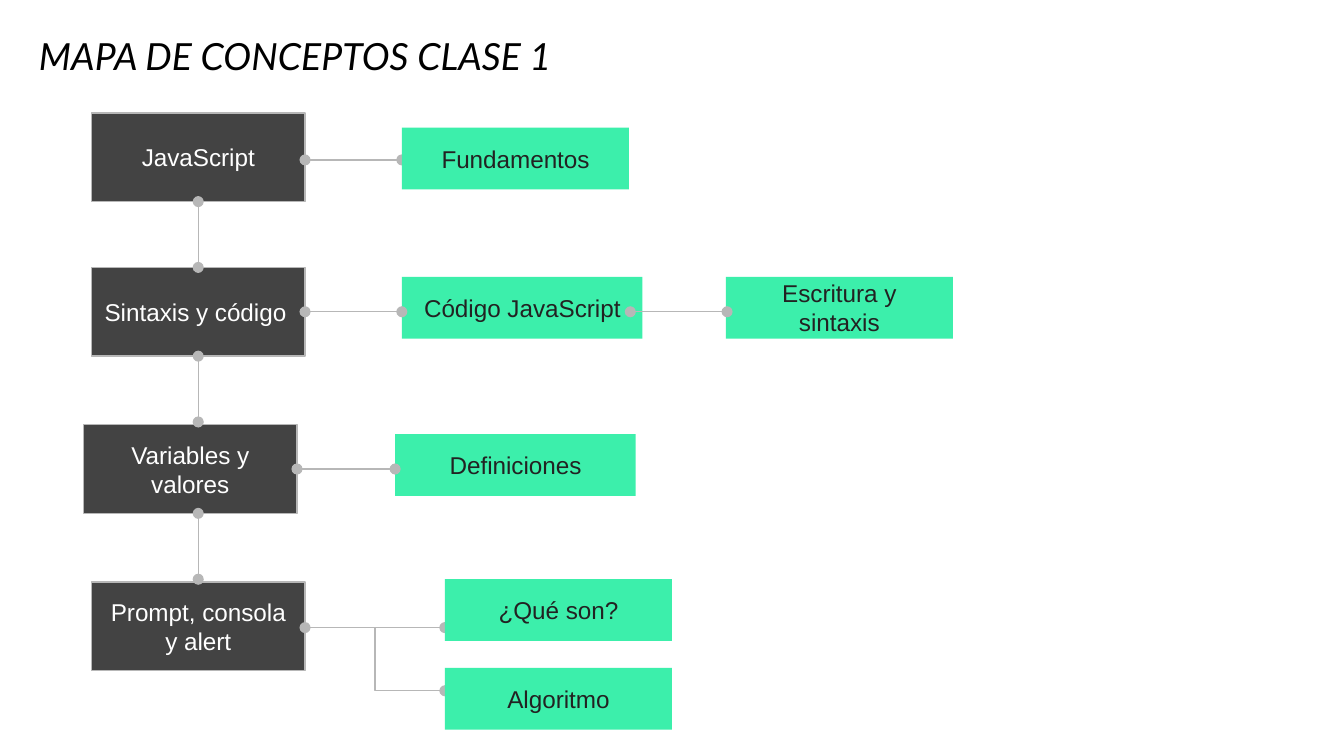
from dataclasses import dataclass

from lxml.etree import SubElement
from pptx import Presentation
from pptx.dml.color import RGBColor
from pptx.enum.shapes import MSO_CONNECTOR as LINK, MSO_SHAPE as SHAPE
from pptx.enum.text import MSO_ANCHOR as ANCHOR, MSO_AUTO_SIZE as FIT, PP_ALIGN as ALIGN
from pptx.oxml.ns import qn
from pptx.util import Inches, Pt

TOPIC_LEFT, TOPIC_WIDTH = 0.68, 1.59


@dataclass(frozen=True)
class Theme:
    """Colours, fonts and type sizes of the concept map."""
    topic_fill: str = "434343"
    topic_text: str = "FFFFFF"
    concept_fill: str = "3CEFAB"
    concept_text: str = "222222"
    link: str = "B7B7B7"
    title: str = "000000"
    title_font: str = "Lato"
    body_font: str = "Arial"
    title_size: float = 20
    body_size: float = 13
    link_width: float = 0.75


def write(frame, text, *, font, size, color, align=ALIGN.CENTER,
          anchor=ANCHOR.MIDDLE, italic=False):
    """Put formatted text in a text frame with even margins."""
    frame.word_wrap = True
    frame.auto_size = FIT.NONE
    frame.vertical_anchor = anchor
    frame.margin_left = frame.margin_right = Inches(0.1)
    frame.margin_top = frame.margin_bottom = Inches(0.1)
    paragraph = frame.paragraphs[0]
    paragraph.alignment = align
    run = paragraph.add_run()
    run.text = text
    run.font.name = font
    run.font.size = Pt(size)
    run.font.italic = italic
    run.font.color.rgb = RGBColor.from_string(color)


class ConceptMap:
    """Draws the parts of a concept map on one slide."""

    def __init__(self, slide, theme):
        """Keep the slide and its theme."""
        self.slide = slide
        self.theme = theme

    def title(self, text):
        """Fill the title placeholder and remove the empty ones."""
        heading = self.slide.shapes.title
        heading.left, heading.top = Inches(0.19), Inches(0.22)
        heading.width, heading.height = Inches(8.26), Inches(0.46)
        write(heading.text_frame, text, font=self.theme.title_font,
              size=self.theme.title_size, color=self.theme.title,
              align=ALIGN.LEFT, anchor=ANCHOR.BOTTOM, italic=True)
        for spare in list(self.slide.placeholders):
            if not spare.text_frame.text:
                spare.element.getparent().remove(spare.element)

    def box(self, text, left, top, width, height, fill, color, align):
        """Draw a plain filled rectangle with text."""
        rect = self.slide.shapes.add_shape(
            SHAPE.RECTANGLE, Inches(left), Inches(top), Inches(width), Inches(height))
        rect.shadow.inherit = False
        rect.fill.solid()
        rect.fill.fore_color.rgb = RGBColor.from_string(fill)
        rect.line.fill.background()
        write(rect.text_frame, text, font=self.theme.body_font,
              size=self.theme.body_size, color=color, align=align)
        return rect

    def topic(self, text, top, left=TOPIC_LEFT, align=ALIGN.CENTER):
        """Draw a dark outlined box of the main column."""
        rect = self.box(text, left, top, TOPIC_WIDTH, 0.66, self.theme.topic_fill,
                        self.theme.topic_text, align)
        self.outline(rect.line)
        return rect

    def concept(self, text, left, top, width=1.69):
        """Draw a green box of a branch."""
        return self.box(text, left, top, width, 0.46, self.theme.concept_fill,
                        self.theme.concept_text, ALIGN.CENTER)

    def outline(self, line):
        """Give a line the link colour and width."""
        line.color.rgb = RGBColor.from_string(self.theme.link)
        line.width = Pt(self.theme.link_width)

    def link(self, start, end, kind=LINK.STRAIGHT, ends=("headEnd", "tailEnd"),
             begin=None, finish=None):
        """Draw a connector with round ends, joined to boxes where given."""
        connector = self.slide.shapes.add_connector(
            kind, *(Inches(value) for value in (*start, *end)))
        if begin:
            connector.begin_connect(*begin)
        if finish:
            connector.end_connect(*finish)
        self.outline(connector.line)
        properties = connector.element.find(qn("p:spPr"))
        for end_tag in ends:
            SubElement(properties.find(qn("a:ln")), qn(f"a:{end_tag}"), type="oval")
        SubElement(properties, qn("a:effectLst"))


def main():
    """Build the concept map and save it."""
    deck = Presentation()
    deck.slide_width = Inches(10)
    deck.slide_height = deck.slide_width * 9 // 16
    concept_map = ConceptMap(deck.slides.add_slide(deck.slide_layouts[0]), Theme())
    concept_map.title("MAPA DE CONCEPTOS CLASE 1")

    syntax = concept_map.topic("Sintaxis y código", 1.99, align=ALIGN.LEFT)
    javascript = concept_map.topic("JavaScript", 0.84)
    variables = concept_map.topic("Variables y valores", 3.16, left=0.62)
    concept_map.topic("Prompt, consola y alert", 4.33)

    spine = TOPIC_LEFT + TOPIC_WIDTH / 2
    concept_map.link((spine, 1.5), (spine, 1.99),
                     begin=(javascript, 2), finish=(syntax, 0))
    concept_map.link((spine, 2.65), (spine, 3.14), begin=(syntax, 2))
    concept_map.link((spine, 3.82), (spine, 4.31))

    concept_map.link((2.27, 1.19), (2.99, 1.19))
    concept_map.concept("Fundamentos", 2.99, 0.95)

    concept_map.concept("Escritura y sintaxis", 5.4, 2.06)
    concept_map.concept("Código JavaScript", 2.99, 2.06, width=1.79)
    concept_map.link((2.27, 2.32), (2.99, 2.32), begin=(syntax, 3))
    concept_map.link((4.69, 2.32), (5.41, 2.32))

    concept_map.concept("Definiciones", 2.94, 3.23, width=1.79)
    concept_map.link((2.21, 3.49), (2.94, 3.49), begin=(variables, 3))

    prompt_exit = (2.27, 4.67)
    concept_map.link(prompt_exit, (3.31, 4.67))
    concept_map.concept("¿Qué son?", 3.31, 4.31)
    concept_map.link(prompt_exit, (3.31, 5.14), kind=LINK.ELBOW, ends=("tailEnd",))
    concept_map.concept("Algoritmo", 3.31, 4.97)

    deck.save("out.pptx")


if __name__ == "__main__":
    main()
